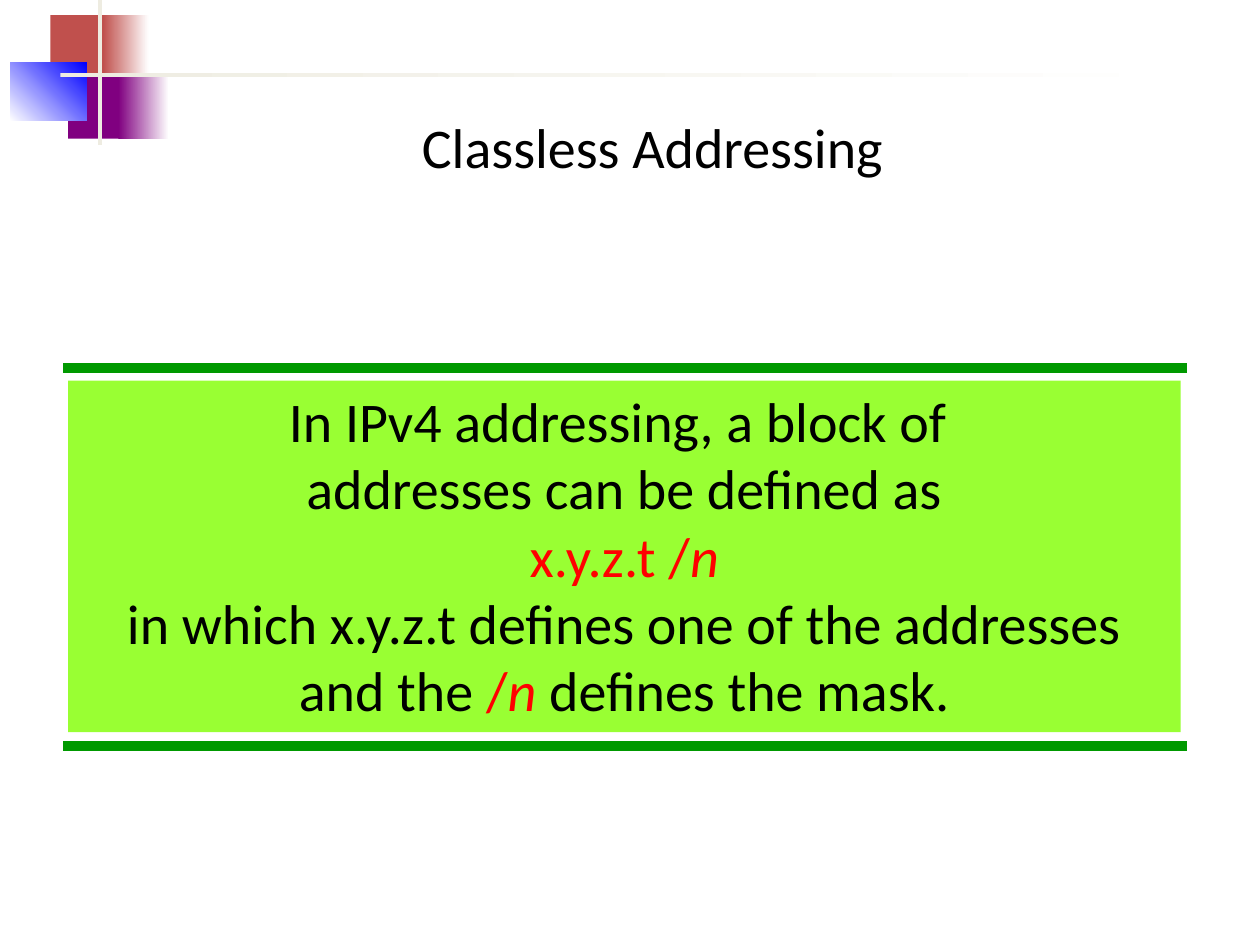
from lxml.etree import SubElement
from pptx import Presentation
from pptx.dml.color import RGBColor
from pptx.enum.shapes import MSO_CONNECTOR, MSO_SHAPE
from pptx.enum.text import MSO_ANCHOR, MSO_AUTO_SIZE, PP_ALIGN
from pptx.oxml.ns import qn
from pptx.util import Inches, Pt


def rgb(value):
    return RGBColor.from_string(value)


def add_rect(left, top, width, height, colors, angle=0):
    """Add a borderless rectangle, solid for one color, gradient for two."""
    sp = s.shapes.add_shape(MSO_SHAPE.RECTANGLE, Inches(left), Inches(top),
                            Inches(width), Inches(height))
    sp.shadow.inherit = False
    sp.line.fill.background()
    if len(colors) == 1:
        sp.fill.solid()
        sp.fill.fore_color.rgb = rgb(colors[0])
    else:
        sp.fill.gradient()
        sp.fill.gradient_angle = angle
        for stop, color, position in zip(sp.fill.gradient_stops, colors, (0, 1)):
            stop.color.rgb = rgb(color)
            stop.position = position
    return sp


prs = Presentation()
prs.slide_width, prs.slide_height = Inches(10), Inches(7.5)
s = prs.slides.add_slide(prs.slide_layouts[6])

BLACK, RED, WHITE = "000000", "FF0000", "FFFFFF"
BRICK, PURPLE, BLUE, CREAM = "C0504D", "800080", "0000FF", "EEECE1"

# Corner ornament
add_rect(0.4, 0.12, 0.48, 0.52, [BRICK])
add_rect(0.82, 0.12, 0.36, 0.52, [BRICK, WHITE])
add_rect(0.54, 0.58, 0.46, 0.52, [PURPLE])
add_rect(0.94, 0.58, 0.4, 0.52, [PURPLE, WHITE])
add_rect(0.08, 0.5, 0.61, 0.46, [WHITE, BLUE], angle=45)
add_rect(0.78, 0, 0.03, 1.15, [CREAM])
add_rect(0.48, 0.58, 9, 0.03, [CREAM, WHITE])

# Green rules above and below the definition
for y in (2.92, 5.92):
    rule = s.shapes.add_connector(MSO_CONNECTOR.STRAIGHT, Inches(0.5), Inches(y),
                                  Inches(9.42), Inches(y))
    rule.line.color.rgb = rgb("009900")
    rule.line.width = Pt(6)
    SubElement(rule._element.spPr, qn("a:effectLst"))

# Definition box: runs are (text, color, italic)
definition = [
    [("In IPv4 addressing, a block of ", BLACK, False), ("\v", BLACK, False),
     ("addresses can be defined as", BLACK, False)],
    [("x.y.z.t /", RED, False), ("n", RED, True)],
    [("in which x.y.z.t defines one of the addresses and the", BLACK, False),
     (" /", RED, False), ("n ", RED, True), ("defines the mask.", BLACK, False)],
]
box = add_rect(0.54, 3.02, 8.83, 2.79, ["99FF33"])
tf = box.text_frame
tf.word_wrap = True
tf.auto_size = MSO_AUTO_SIZE.SHAPE_TO_FIT_TEXT
tf.vertical_anchor = MSO_ANCHOR.TOP
for i, runs in enumerate(definition):
    p = tf.paragraphs[0] if i == 0 else tf.add_paragraph()
    p.alignment = PP_ALIGN.CENTER
    for text, color, italic in runs:
        if text == "\v":
            p.add_line_break()
            continue
        r = p.add_run()
        r.text = text
        r.font.name, r.font.size = "Calibri", Pt(32)
        r.font.italic = italic
        r.font.color.rgb = rgb(color)

# Title
title = s.shapes.add_textbox(Inches(3.25), Inches(0.84), Inches(5), Inches(0.64))
tf = title.text_frame
tf.word_wrap = True
tf.auto_size = MSO_AUTO_SIZE.SHAPE_TO_FIT_TEXT
tf.text = "Classless Addressing"
r = tf.paragraphs[0].runs[0]
r.font.name, r.font.size = "Calibri", Pt(32)
r.font.color.rgb = rgb(BLACK)

prs.save("out.pptx")
